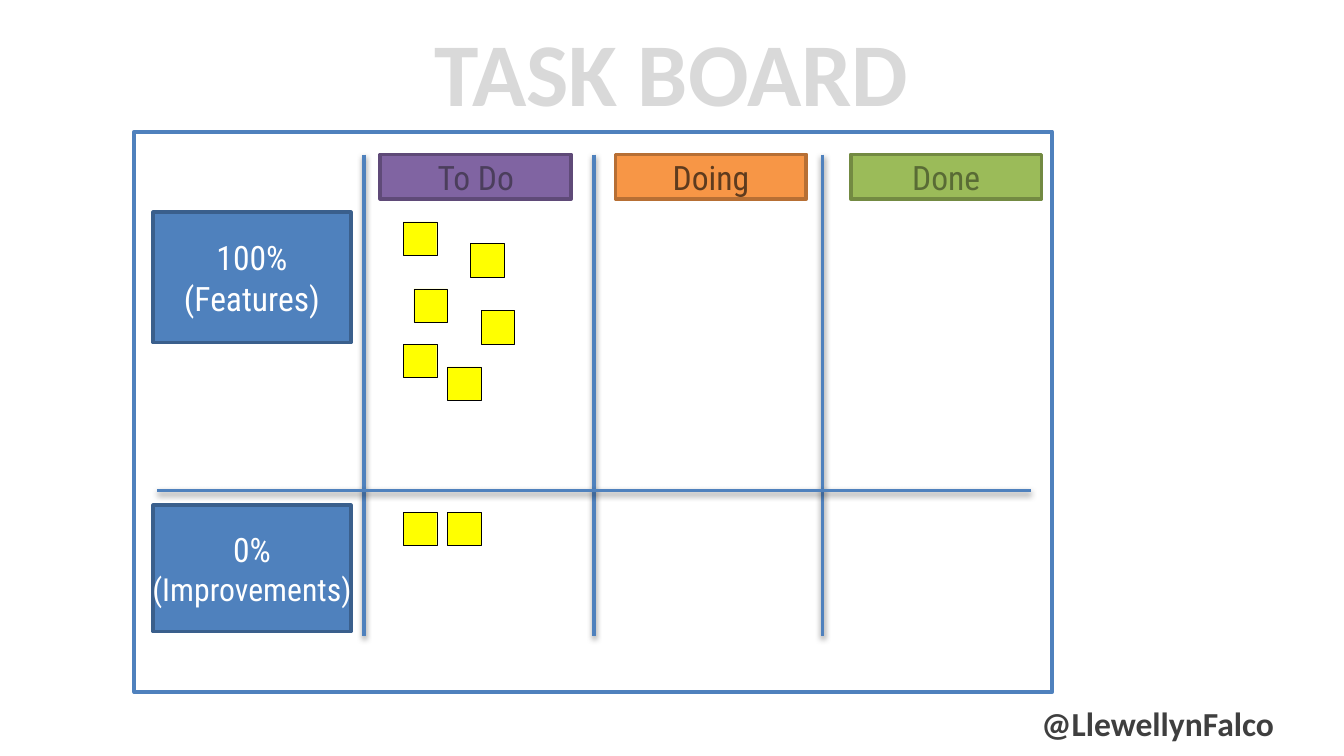
from dataclasses import dataclass

from lxml import etree
from pptx import Presentation
from pptx import util as u
from pptx.dml.color import RGBColor
from pptx.enum import shapes, text
from pptx.oxml import ns


@dataclass(frozen=True)
class Theme:
    """Colours, fonts and sizes of the board."""
    heading_font: str = "Calibri"
    card_font: str = "Roboto Condensed"
    title: str = "D9D9D9"
    handle: str = "3F3F3F"
    white: str = "FFFFFF"
    black: str = "000000"
    blue: str = "4F81BD"
    dark_blue: str = "3A5F8C"
    note: str = "FFFF00"
    purple: tuple = ("8064A2", "5F4A78", "4B3E5C")
    orange: tuple = ("F79646", "B76F34", "5E3B1E")
    green: tuple = ("9BBB59", "738A42", "596B35")
    title_size: float = 48
    body_size: float = 18
    small_size: float = 17
    line_width: float = 2
    note_line: float = 0.25


T = Theme()
NOTE_SIZE = 0.25
NOTES = [(3, 1.65), (3.5, 1.81), (3.08, 2.15), (3.58, 2.31), (3, 2.56),
         (3.33, 2.73), (3, 3.81), (3.33, 3.81)]


def rgb(value):
    """Return a colour object for a hex value."""
    return RGBColor.from_string(value)


def style_run(p, font, size, color, bold=False):
    """Format the first run of a paragraph."""
    r = p.runs[0]
    r.font.name, r.font.size, r.font.bold = font, u.Pt(size), bold
    r.font.color.rgb = rgb(color)


def add_label(s, box, words, size, color, align, wrap=True):
    """Add a bold heading text box."""
    tf = s.shapes.add_textbox(*map(u.Inches, box)).text_frame
    tf.word_wrap = wrap
    tf.vertical_anchor = text.MSO_ANCHOR.MIDDLE
    tf.text = words
    p = tf.paragraphs[0]
    p.alignment = align
    style_run(p, T.heading_font, size, color, True)


def add_box(s, box, fill, line, width=T.line_width):
    """Add a flat outlined rectangle."""
    sp = s.shapes.add_shape(shapes.MSO_SHAPE.RECTANGLE, *map(u.Inches, box))
    sp.shadow.inherit = False
    sp.fill.solid()
    sp.fill.fore_color.rgb = rgb(fill)
    sp.line.color.rgb = rgb(line)
    sp.line.width = u.Pt(width)
    return sp


def add_card(s, box, colors, lines, wrap=True):
    """Add a box holding centred (words, size) lines."""
    fill, line, color = colors
    tf = add_box(s, box, fill, line).text_frame
    tf.word_wrap = wrap
    tf.vertical_anchor = text.MSO_ANCHOR.MIDDLE
    tf.margin_top = tf.margin_bottom = 0
    tf.text = "\n".join(words for words, _ in lines)
    for p, (_, size) in zip(tf.paragraphs, lines):
        p.alignment = text.PP_ALIGN.CENTER
        style_run(p, T.card_font, size, color)


def add_divider(s, *ends):
    """Add a board line with a soft shadow below it."""
    line = s.shapes.add_connector(shapes.MSO_CONNECTOR.STRAIGHT, *map(u.Inches, ends))
    line.line.color.rgb = rgb(T.blue)
    line.line.width = u.Pt(T.line_width)
    effects = etree.SubElement(line._element.spPr, ns.qn("a:effectLst"))
    shadow = etree.SubElement(effects, ns.qn("a:outerShdw"), blurRad=str(u.Pt(3.1)),
                              dist=str(u.Pt(1.6)), dir="5400000", rotWithShape="0")
    color = etree.SubElement(shadow, ns.qn("a:srgbClr"), val=T.black)
    etree.SubElement(color, ns.qn("a:alpha"), val="38000")


def main():
    """Build the task board slide."""
    prs = Presentation()
    prs.slide_width, prs.slide_height = u.Inches(10), u.Inches(10 * 9 / 16)
    s = prs.slides.add_slide(prs.slide_layouts[6])

    add_label(s, (7.62, 5.18, 1.96, 0.4), "@LlewellynFalco", T.body_size, T.handle,
              text.PP_ALIGN.RIGHT, wrap=False)
    add_label(s, (0, 0, 10, 1.06), "TASK BOARD", T.title_size, T.title,
              text.PP_ALIGN.CENTER)
    add_box(s, (1, 0.98, 6.83, 4.17), T.white, T.blue)

    for x in (2.71, 4.42, 6.12):
        add_divider(s, x, 1.15, x, 4.73)

    columns = [("To Do", T.purple), ("Doing", T.orange), ("Done", T.green)]
    for i, (words, colors) in enumerate(columns):
        add_card(s, (2.83 + 1.75 * i, 1.15, 1.42, 0.33), colors, [(words, T.body_size)])

    row_colors = (T.blue, T.dark_blue, T.white)
    add_card(s, (1.14, 1.58, 1.47, 0.97), row_colors,
             [("100%", T.body_size), ("(Features)", T.body_size)])
    add_card(s, (1.14, 3.76, 1.47, 0.94), row_colors,
             [("0%", T.body_size), ("(Improvements)", T.small_size)], wrap=False)
    add_divider(s, 1.17, 3.65, 7.67, 3.65)

    for x, y in NOTES:
        add_box(s, (x, y, NOTE_SIZE, NOTE_SIZE), T.note, T.black, T.note_line)

    prs.save("out.pptx")


if __name__ == "__main__":
    main()
